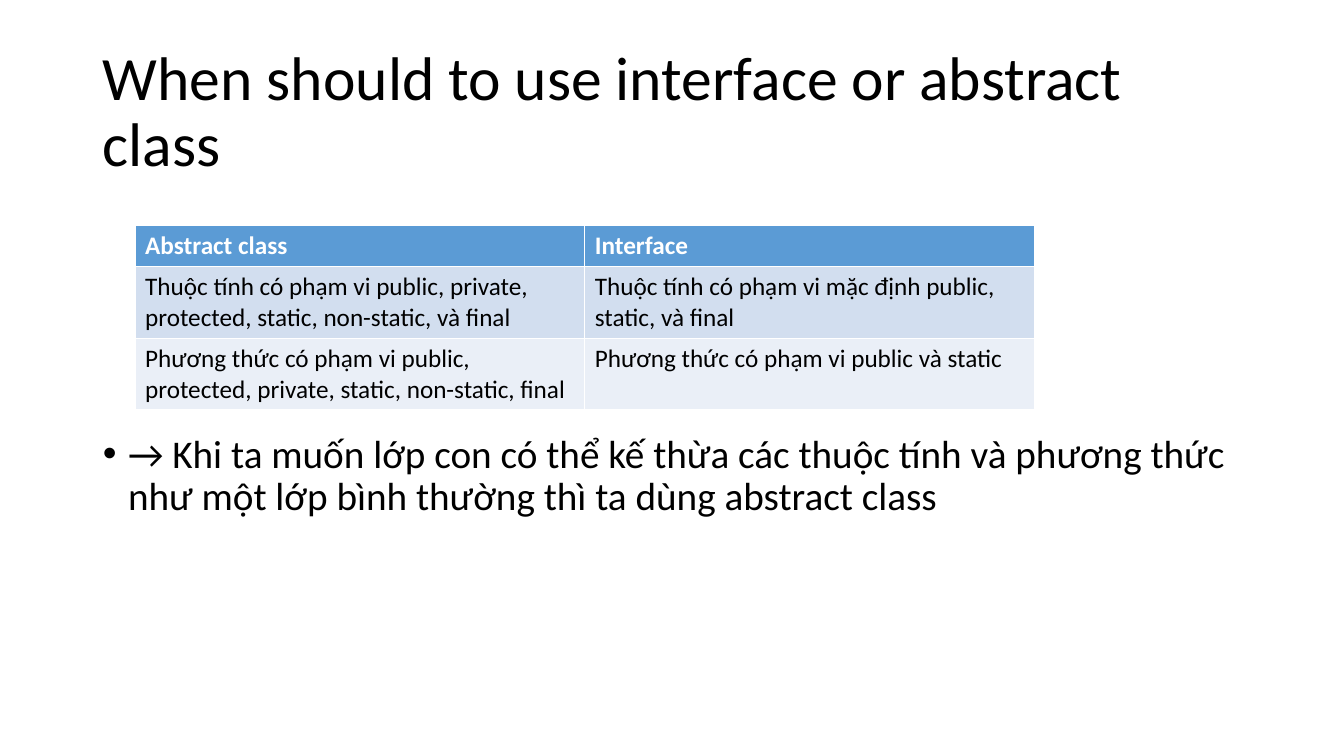
from pptx import Presentation
from pptx.dml.color import RGBColor
from pptx.enum.text import MSO_ANCHOR, MSO_AUTO_SIZE, PP_ALIGN
from pptx.util import Inches, Pt

TOP, MIDDLE = MSO_ANCHOR.TOP, MSO_ANCHOR.MIDDLE
NO_AUTOFIT = MSO_AUTO_SIZE.NONE
LEFT = PP_ALIGN.LEFT

THEME = {
    "font": "Calibri",
    "text": RGBColor(0x00, 0x00, 0x00),
    "header_text": RGBColor(0xFF, 0xFF, 0xFF),
    "row_fills": [RGBColor(0x5B, 0x9B, 0xD5), RGBColor(0xD2, 0xDE, 0xEF), RGBColor(0xEA, 0xEF, 0xF7)],
    "title_size": Pt(44),
    "body_size": Pt(28),
    "table_size": Pt(18),
}

COMPARISON = [
    ("Abstract class", "Interface"),
    ("Thuộc tính có phạm vi public, private, protected, static, non-static, và final",
     "Thuộc tính có phạm vi mặc định public, static, và final"),
    ("Phương thức có phạm vi public, protected, private, static, non-static, final",
     "Phương thức có phạm vi public và static"),
]
ROW_HEIGHTS = [0.4, 0.69, 0.69]
COLUMN_WIDTH = 4.46


def set_text(text_frame, text, size, color, bold=False):
    text_frame.text = text
    paragraph = text_frame.paragraphs[0]
    paragraph.alignment = LEFT
    font = paragraph.runs[0].font
    font.name, font.size, font.bold = THEME["font"], size, bold
    font.color.rgb = color
    return paragraph


def place(shape, left, top, width, height):
    shape.left, shape.top = Inches(left), Inches(top)
    shape.width, shape.height = Inches(width), Inches(height)


presentation = Presentation()
presentation.slide_width, presentation.slide_height = Inches(13.33), Inches(7.5)
slide = presentation.slides.add_slide(presentation.slide_layouts[1])

# Title
title = slide.shapes.title
place(title, 0.92, 0.4, 11.5, 1.45)
paragraph = set_text(title.text_frame, "When should to use interface or abstract class",
                     THEME["title_size"], THEME["text"])
paragraph.line_spacing = 0.9
title.text_frame.vertical_anchor = MIDDLE
title.text_frame.auto_size = NO_AUTOFIT

# Conclusion, pushed below the table by the top margin
body = slide.placeholders[1]
place(body, 0.92, 2, 11.5, 4.76)
paragraph = set_text(
    body.text_frame,
    "→ Khi ta muốn lớp con có thể kế thừa các thuộc tính và phương thức "
    "như một lớp bình thường thì ta dùng abstract class",
    THEME["body_size"], THEME["text"])
paragraph.line_spacing = 0.9
paragraph.space_before = Pt(0)
properties = paragraph._p.get_or_add_pPr()
properties.set("marL", str(Inches(0.25)))
properties.set("indent", str(Inches(-0.25)))
body.text_frame.margin_top = Inches(2.31)
body.text_frame.vertical_anchor = TOP
body.text_frame.auto_size = NO_AUTOFIT

# Comparison table
table = slide.shapes.add_table(
    len(COMPARISON), 2, Inches(1.34), Inches(2.24),
    Inches(2 * COLUMN_WIDTH), Inches(sum(ROW_HEIGHTS))).table
for column in table.columns:
    column.width = Inches(COLUMN_WIDTH)
for row_index, (row, texts) in enumerate(zip(table.rows, COMPARISON)):
    row.height = Inches(ROW_HEIGHTS[row_index])
    is_header = row_index == 0
    color = THEME["header_text"] if is_header else THEME["text"]
    for cell, text in zip(row.cells, texts):
        set_text(cell.text_frame, text, THEME["table_size"], color, bold=is_header)
        cell.fill.solid()
        cell.fill.fore_color.rgb = THEME["row_fills"][row_index]

presentation.save("out.pptx")
